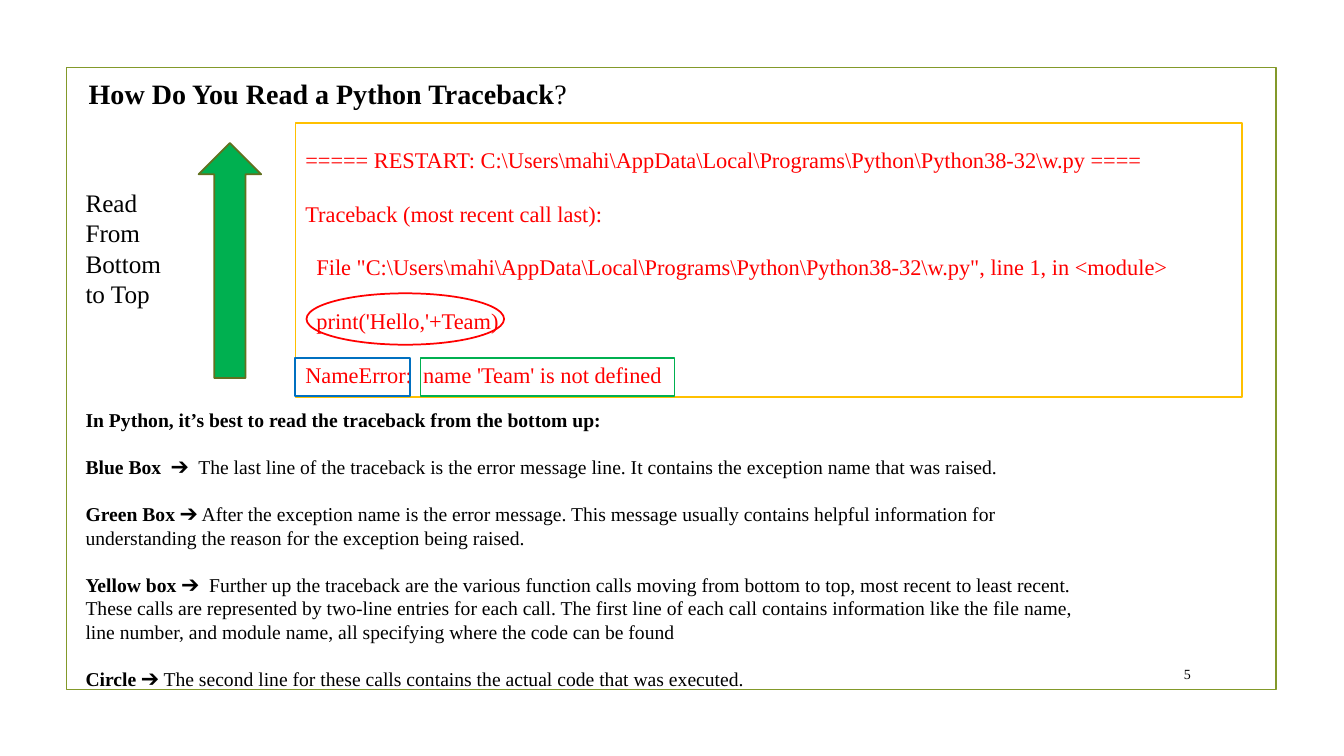
import pptx
import pptx.util
import pptx.dml.color
import pptx.enum.shapes
import pptx.enum.text

Inches, Pt = pptx.util.Inches, pptx.util.Pt
RGB = pptx.dml.color.RGBColor
SHAPE = pptx.enum.shapes.MSO_SHAPE
ANCHOR = pptx.enum.text.MSO_ANCHOR
ALIGN = pptx.enum.text.PP_ALIGN

BLACK = RGB(0x00, 0x00, 0x00)
RED = RGB(0xFF, 0x00, 0x00)
GREEN = RGB(0x00, 0xB0, 0x50)
BLUE = RGB(0x00, 0x70, 0xC0)
YELLOW = RGB(0xFF, 0xC0, 0x00)
OLIVE = RGB(0x83, 0x99, 0x2A)
DARK_OLIVE = RGB(0x61, 0x71, 0x1F)

# Each paragraph is (bold lead, plain rest)
TRACEBACK = [
    ("", r"===== RESTART: C:\Users\mahi\AppData\Local\Programs\Python\Python38-32\w.py ===="),
    ("", "Traceback (most recent call last):"),
    ("", r'File "C:\Users\mahi\AppData\Local\Programs\Python\Python38-32\w.py", line 1, in <module>'),
    ("", "print('Hello,'+Team)"),
    ("", "NameError:  name 'Team' is not defined"),
]
INDENTED_LINES = (2, 3)
EXPLANATION = [
    ("In Python, it’s best to read the traceback from the bottom up:", ""),
    ("Blue Box  ", "➔  The last line of the traceback is the error message line. "
     "It contains the exception name that was raised."),
    ("Green Box ", "➔ After the exception name is the error message. This message usually "
     "contains helpful information for understanding the reason for the exception being raised."),
    ("Yellow box ➔ ", " Further up the traceback are the various function calls moving from "
     "bottom to top, most recent to least recent. These calls are represented by two-line "
     "entries for each call. The first line of each call contains information like the file "
     "name, line number, and module name, all specifying where the code can be found"),
    ("Circle ", "➔ The second line for these calls contains the actual code that was executed."),
]


class SlideBuilder:
    font = "Times New Roman"
    line_width = Pt(1.25)
    leading = 1.2

    def __init__(self, prs):
        self.s = prs.slides.add_slide(prs.slide_layouts[5])

    def shape(self, kind, box, line, fill=None):
        sp = self.s.shapes.add_shape(kind, *(Inches(v) for v in box))
        sp.shadow.inherit = False
        sp.line.color.rgb = line
        sp.line.width = self.line_width
        if fill is None:
            sp.fill.background()
        else:
            sp.fill.solid()
            sp.fill.fore_color.rgb = fill
        return sp

    def fill_text(self, sp, paragraphs, size, color=BLACK, align=ALIGN.LEFT, anchor=ANCHOR.TOP):
        tf = sp.text_frame
        tf.word_wrap = True
        tf.auto_size = pptx.enum.text.MSO_AUTO_SIZE.NONE
        tf.vertical_anchor = anchor
        for i, parts in enumerate(paragraphs):
            p = tf.add_paragraph() if i else tf.paragraphs[0]
            p.alignment = align
            p.line_spacing = Pt(size * self.leading)
            p.space_before = Pt(size * self.leading if i else 0)
            p.font.name, p.font.size, p.font.color.rgb = self.font, Pt(size), color
            for text, bold in zip(parts, (True, False)):
                if text:
                    r = p.add_run()
                    r.text, r.font.bold = text, bold
        return tf

    def text(self, box, paragraphs, size, **style):
        sp = self.s.shapes.add_textbox(*(Inches(v) for v in box))
        return self.fill_text(sp, paragraphs, size, **style)

    def title(self, box, parts, size):
        sp = self.s.shapes.title
        sp.left, sp.top, sp.width, sp.height = (Inches(v) for v in box)
        self.fill_text(sp, [parts], size)


def main():
    prs = pptx.Presentation()
    prs.slide_width, prs.slide_height = Inches(13.33), Inches(7.5)
    b = SlideBuilder(prs)

    # Frame and title
    b.shape(SHAPE.RECTANGLE, (0.66, 0.67, 12, 6.17), OLIVE)
    b.title((0.78, 0.71, 6.84, 0.44), ("How Do You Read a Python Traceback", "?"), 20)

    # Reading direction
    b.text((0.75, 1.81, 1.04, 1.31), [("", "Read From Bottom to Top")], 18)
    b.shape(SHAPE.UP_ARROW, (1.97, 1.42, 0.62, 2.33), DARK_OLIVE, GREEN)

    # Traceback with its marked parts
    tf = b.text((2.93, 1.4, 9.99, 2.53), TRACEBACK, 16, color=RED)
    for i in INDENTED_LINES:
        tf.paragraphs[i]._p.get_or_add_pPr().set("marL", str(Inches(0.11)))
    b.shape(SHAPE.RECTANGLE, (2.93, 1.22, 9.39, 2.72), YELLOW)
    b.shape(SHAPE.RECTANGLE, (2.93, 3.55, 1.14, 0.38), BLUE)
    b.shape(SHAPE.RECTANGLE, (4.17, 3.55, 2.52, 0.38), GREEN)
    b.shape(SHAPE.OVAL, (3.04, 2.91, 1.96, 0.51), RED)

    # Explanation and page number
    b.text((0.75, 4, 10.16, 3.23), EXPLANATION, 14)
    b.text((11.32, 6.53, 0.59, 0.31), [("", "5")], 10, align=ALIGN.RIGHT, anchor=ANCHOR.MIDDLE)

    prs.save("out.pptx")


if __name__ == "__main__":
    main()
